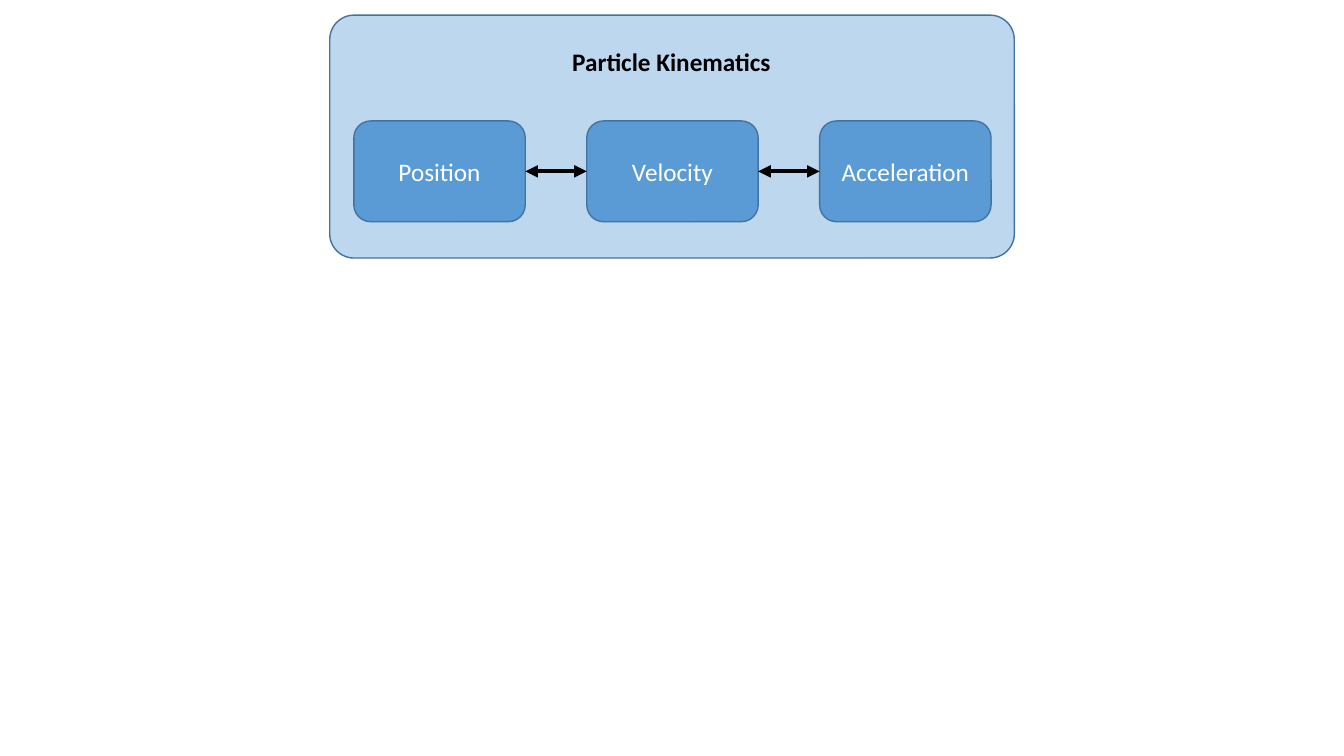
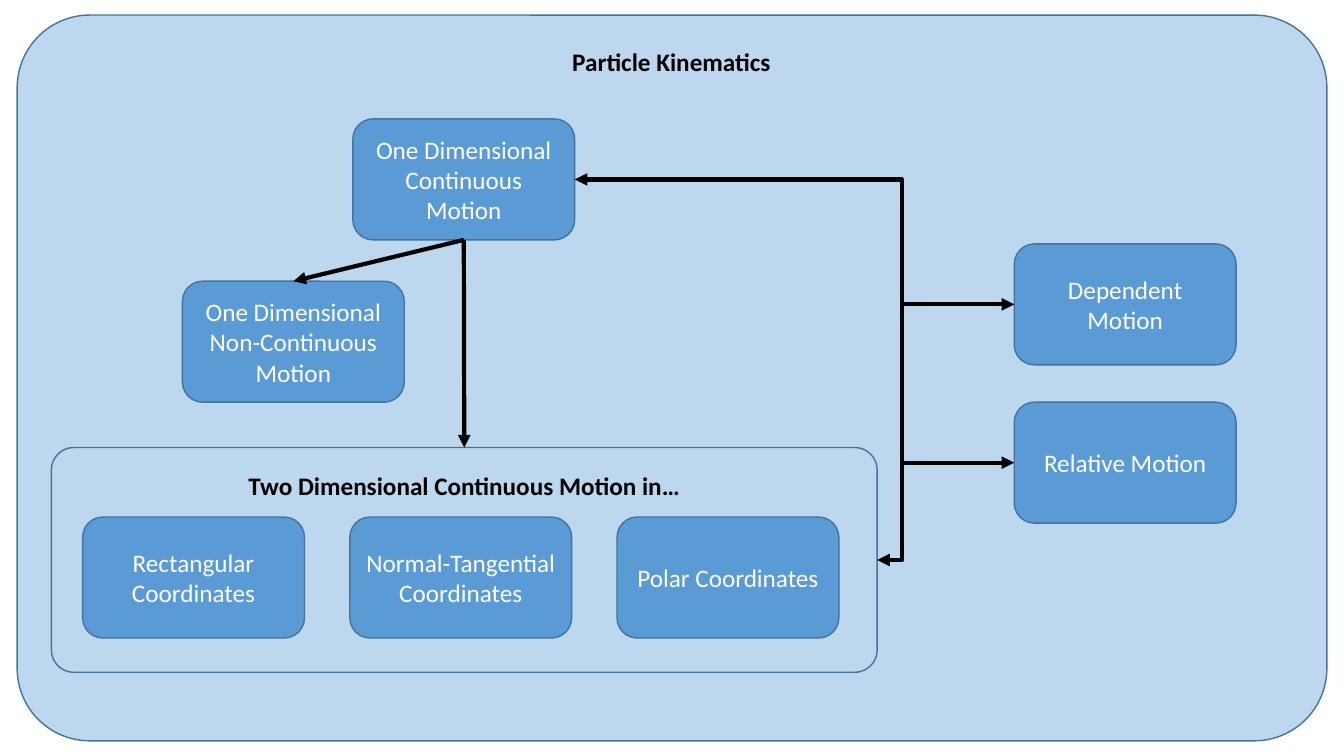
from lxml.etree import SubElement
from pptx import Presentation
from pptx.dml.color import RGBColor
from pptx.enum.shapes import MSO_CONNECTOR, MSO_SHAPE
from pptx.enum.text import MSO_ANCHOR, PP_ALIGN
from pptx.oxml.ns import qn
from pptx.util import Inches, Pt

TOP, LEFT, BOTTOM, RIGHT = range(4)
SLIDE_WIDTH, SLIDE_HEIGHT = 13.33, 7.5


def colour(value):
    """Turn a hex string into a colour."""
    return RGBColor.from_string(value)


class Diagram:
    """Holds the shared style and the slide being drawn."""

    FONT, SIZE = "Calibri", 18
    PANEL, BOX, OUTLINE = "BDD7EE", "5B9BD5", "43739E"
    DARK, LIGHT = "000000", "FFFFFF"
    PANEL_CORNER, BOX_CORNER = 0.1, 1 / 6

    def __init__(self, presentation):
        """Keep the presentation that receives the slides."""
        self.presentation = presentation
        self.slide = None

    def add_slide(self, title, left, top, width, height):
        """Start a slide with a background panel and a title on it."""
        self.slide = self.presentation.slides.add_slide(
            self.presentation.slide_layouts[5])
        self.panel(left, top, width, height)
        placeholder = self.slide.shapes.title
        placeholder.left, placeholder.top = Inches(3.66), Inches(0.41)
        placeholder.width, placeholder.height = Inches(6), Inches(0.4)
        self.slide.shapes._spTree.append(placeholder._element)
        self.set_text(placeholder, title, self.DARK, bold=True)

    def set_text(self, shape, text, text_colour, bold=False):
        """Put centred text in a shape."""
        frame = shape.text_frame
        frame.text = text
        frame.word_wrap = True
        frame.vertical_anchor = MSO_ANCHOR.MIDDLE
        paragraph = frame.paragraphs[0]
        paragraph.alignment = PP_ALIGN.CENTER
        for run in paragraph.runs:
            run.font.name = self.FONT
            run.font.size = Pt(self.SIZE)
            run.font.bold = bold
            run.font.color.rgb = colour(text_colour)

    def rounded(self, left, top, width, height, fill, corner):
        """Draw an outlined rounded rectangle."""
        shape = self.slide.shapes.add_shape(
            MSO_SHAPE.ROUNDED_RECTANGLE, Inches(left), Inches(top),
            Inches(width), Inches(height))
        shape.adjustments[0] = corner
        shape.shadow.inherit = False
        shape.fill.solid()
        shape.fill.fore_color.rgb = colour(fill)
        shape.line.color.rgb = colour(self.OUTLINE)
        shape.line.width = Pt(1)
        return shape

    def panel(self, left, top, width, height, heading=None):
        """Draw a pale panel, with a heading at its top if given."""
        shape = self.rounded(left, top, width, height, self.PANEL,
                             self.PANEL_CORNER)
        if heading:
            self.set_text(shape, heading, self.DARK, bold=True)
            shape.text_frame.vertical_anchor = MSO_ANCHOR.TOP
            shape.text_frame.margin_top = Inches(0.16)
        return shape

    def box(self, text, left, top, width=2.2, height=1.2):
        """Draw a labelled box."""
        shape = self.rounded(left, top, width, height, self.BOX,
                             self.BOX_CORNER)
        self.set_text(shape, text, self.LIGHT)
        return shape

    def row(self, labels, left, top, step, **size):
        """Draw evenly spaced boxes and return them."""
        return [self.box(label, left + step * index, top, **size)
                for index, label in enumerate(labels)]

    def style_arrow(self, connector, both_ends):
        """Give a connector its line, arrowheads and no shadow."""
        connector.line.color.rgb = colour(self.DARK)
        connector.line.width = Pt(3)
        line = connector.line._get_or_add_ln()
        for end in ("a:headEnd", "a:tailEnd") if both_ends else ("a:tailEnd",):
            SubElement(line, qn(end), type="triangle")
        SubElement(connector._element.spPr, qn("a:effectLst"))

    def arrow(self, start, start_side, end, end_side, both_ends=False,
              kind=MSO_CONNECTOR.STRAIGHT):
        """Join the sides of two shapes with an arrow."""
        connector = self.slide.shapes.add_connector(kind, 0, 0, 0, 0)
        connector.begin_connect(start, start_side)
        connector.end_connect(end, end_side)
        self.style_arrow(connector, both_ends)
        return connector

    def rail(self, start, end, x):
        """Join two right sides by a double arrow that runs down at x."""
        connector = self.arrow(start, RIGHT, end, RIGHT, both_ends=True,
                               kind=MSO_CONNECTOR.ELBOW)
        span = connector.end_x - connector.begin_x
        ratio = (Inches(x) - connector.begin_x) / span
        guides = connector._element.spPr.find(
            qn("a:prstGeom")).get_or_add_avLst()
        SubElement(guides, qn("a:gd"), name="adj1",
                   fmla=f"val {round(ratio * 100000)}")

    def branch(self, x, end):
        """Draw an arrow from the rail at x to the left side of a box."""
        middle = end.top + end.height // 2
        connector = self.slide.shapes.add_connector(
            MSO_CONNECTOR.STRAIGHT, Inches(x), middle, end.left, middle)
        connector.end_connect(end, LEFT)
        self.style_arrow(connector, both_ends=False)


def draw_quantities(diagram):
    """Show how position, velocity and acceleration are linked."""
    diagram.add_slide("Particle Kinematics", 3.27, 0.15, 6.79, 2.41)
    boxes = diagram.row(["Position", "Velocity", "Acceleration"],
                        3.51, 1.2, 2.31, width=1.7, height=1)
    for first, second in zip(boxes, boxes[1:]):
        diagram.arrow(first, RIGHT, second, LEFT, both_ends=True)


def draw_topics(diagram):
    """Show how the kinds of motion are linked."""
    diagram.add_slide("Particle Kinematics", 0.17, 0.15, 12.99, 7.2)
    continuous = diagram.box("One Dimensional Continuous Motion", 3.5, 1.18)
    stepped = diagram.box("One Dimensional Non-Continuous Motion", 1.81, 2.79)
    planar = diagram.panel(0.51, 4.44, 8.19, 2.23,
                           "Two Dimensional Continuous Motion in…")
    diagram.row(["Rectangular Coordinates", "Normal-Tangential Coordinates",
                 "Polar Coordinates"], 0.82, 5.13, 2.65)
    dependent = diagram.box("Dependent Motion", 10.06, 2.42)
    relative = diagram.box("Relative Motion", 10.06, 3.99)
    diagram.arrow(continuous, BOTTOM, stepped, TOP)
    diagram.arrow(continuous, BOTTOM, planar, TOP)
    rail_x = 8.95
    diagram.rail(continuous, planar, rail_x)
    for box in (dependent, relative):
        diagram.branch(rail_x, box)


def main():
    """Build and save the presentation."""
    presentation = Presentation()
    presentation.slide_width = Inches(SLIDE_WIDTH)
    presentation.slide_height = Inches(SLIDE_HEIGHT)
    diagram = Diagram(presentation)
    draw_quantities(diagram)
    draw_topics(diagram)
    presentation.save("out.pptx")


if __name__ == "__main__":
    main()
